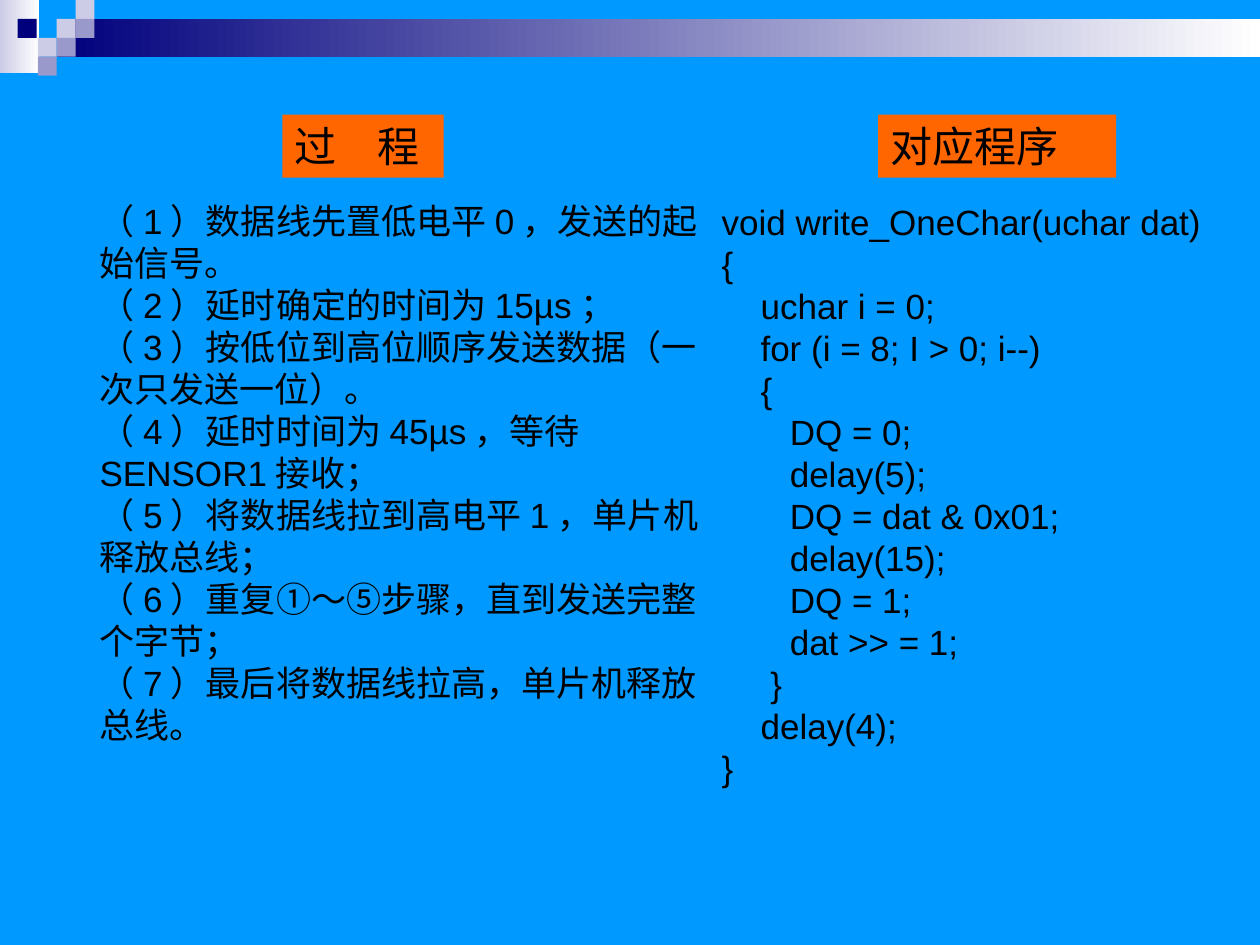
from pptx import Presentation
from pptx.dml.color import RGBColor
from pptx.enum.shapes import MSO_SHAPE
from pptx.enum.text import MSO_ANCHOR, MSO_AUTO_SIZE, PP_ALIGN
from pptx.oxml.ns import qn
from pptx.util import Pt
from lxml.etree import SubElement


def color(value):
    return RGBColor.from_string(value)


def fill_text(box, area, lines, size, anchor):
    """Place a placeholder and write (indent, text) lines without bullets."""
    box.left, box.top, box.width, box.height = [Pt(length) for length in area]
    frame = box.text_frame
    frame.word_wrap = True
    frame.auto_size = MSO_AUTO_SIZE.NONE
    frame.vertical_anchor = anchor
    frame.margin_left = frame.margin_right = Pt(7.2)
    frame.margin_top = frame.margin_bottom = Pt(3.6)
    frame.text = "\n".join(text for indent, text in lines)
    for para, (indent, text) in zip(frame.paragraphs, lines):
        para.alignment = PP_ALIGN.LEFT
        para.line_spacing = Pt(size * 1.2)
        para.space_before = para.space_after = Pt(0)
        properties = para._p.get_or_add_pPr()
        properties.set("marL", str(Pt(indent)))
        properties.set("indent", "0")
        SubElement(properties, qn("a:buNone"))
        for span in para.runs:
            span.font.name = "Arial"
            span.font.size = Pt(size)
            span.font.bold = False
            span.font.color.rgb = color("000000")


deck = Presentation()
deck.slide_width, deck.slide_height = Pt(720), Pt(540)
page = deck.slides.add_slide(deck.slide_layouts[4])  # comparison layout
page.background.fill.solid()
page.background.fill.fore_color.rgb = color("0099FF")
title = page.shapes.title.element
title.getparent().remove(title)

# Header decoration: two gradient bars and a mosaic of small squares
decoration = [
    (0, 0, 22.3, 41.8, ["CCCCE6", "FFFFFF"]),
    (32.4, 10.8, 687.6, 21.6, ["00007D", "FFFFFF"]),
]
squares = [
    (32.4, 10.8, "CCCCE6"), (43.2, 0, "CCCCE6"), (43.2, 10.8, "9999CC"),
    (21.6, 21.6, "CCCCE6"), (10.1, 10.8, "00007D"), (32.4, 21.6, "9999CC"),
    (21.6, 32.4, "9999CC"),
]
decoration += [(left, top, 10.8, 10.8, [tone]) for left, top, tone in squares]
for left, top, width, height, tones in decoration:
    block = page.shapes.add_shape(MSO_SHAPE.RECTANGLE, Pt(left), Pt(top), Pt(width), Pt(height))
    block.shadow.inherit = False
    block.line.fill.background()
    if len(tones) == 1:
        block.fill.solid()
        block.fill.fore_color.rgb = color(tones[0])
    else:
        block.fill.gradient()
        block.fill.gradient_angle = 0
        for stop, tone in zip(block.fill.gradient_stops, tones):
            stop.color.rgb = color(tone)

# Column headings
holders = {holder.placeholder_format.idx: holder for holder in page.placeholders}
headings = [(1, 161.3, 92.2, "过 程"), (3, 501.8, 136, "对应程序")]
for index, left, width, text in headings:
    heading = holders[index]
    fill_text(heading, (left, 65.5, width, 36), [(0, text)], 24, MSO_ANCHOR.TOP)
    heading.text_frame.margin_right = Pt(0)
    heading.fill.solid()
    heading.fill.fore_color.rgb = color("FF6600")

# Letter spacing opens up the two-character heading
wide_span = holders[1].text_frame.paragraphs[0].runs[0]
wide_span.font._element.set("spc", "900")

# Left column: the steps
steps = [
    "数据线先置低电平0，发送的起始信号。",
    "延时确定的时间为15µs；",
    "按低位到高位顺序发送数据（一次只发送一位）。",
    "延时时间为45µs，等待SENSOR1接收；",
    "将数据线拉到高电平1，单片机释放总线；",
    "重复①～⑤步骤，直到发送完整个字节；",
    "最后将数据线拉高，单片机释放总线。",
]
step_lines = [(0, f"（{number}）{step}") for number, step in enumerate(steps, 1)]
fill_text(holders[2], (49.7, 110.2, 373, 319.7), step_lines, 20, MSO_ANCHOR.MIDDLE)

# Right column: the program, indented by paragraph margins
program = [
    (0, "void write_OneChar(uchar dat)"),
    (0, "{"),
    (22.2, "uchar i = 0;"),
    (22.2, "for (i = 8; I > 0; i--)"),
    (22.2, "{"),
    (38.9, "DQ = 0;"),
    (38.9, "delay(5);"),
    (38.9, "DQ = dat & 0x01;"),
    (38.9, "delay(15);"),
    (38.9, "DQ = 1;"),
    (38.9, "dat >> = 1;"),
    (27.8, "}"),
    (22.2, "delay(4);"),
    (0, "}"),
]
fill_text(holders[4], (405.2, 110.9, 290, 343.4), program, 20, MSO_ANCHOR.MIDDLE)

deck.save("out.pptx")
